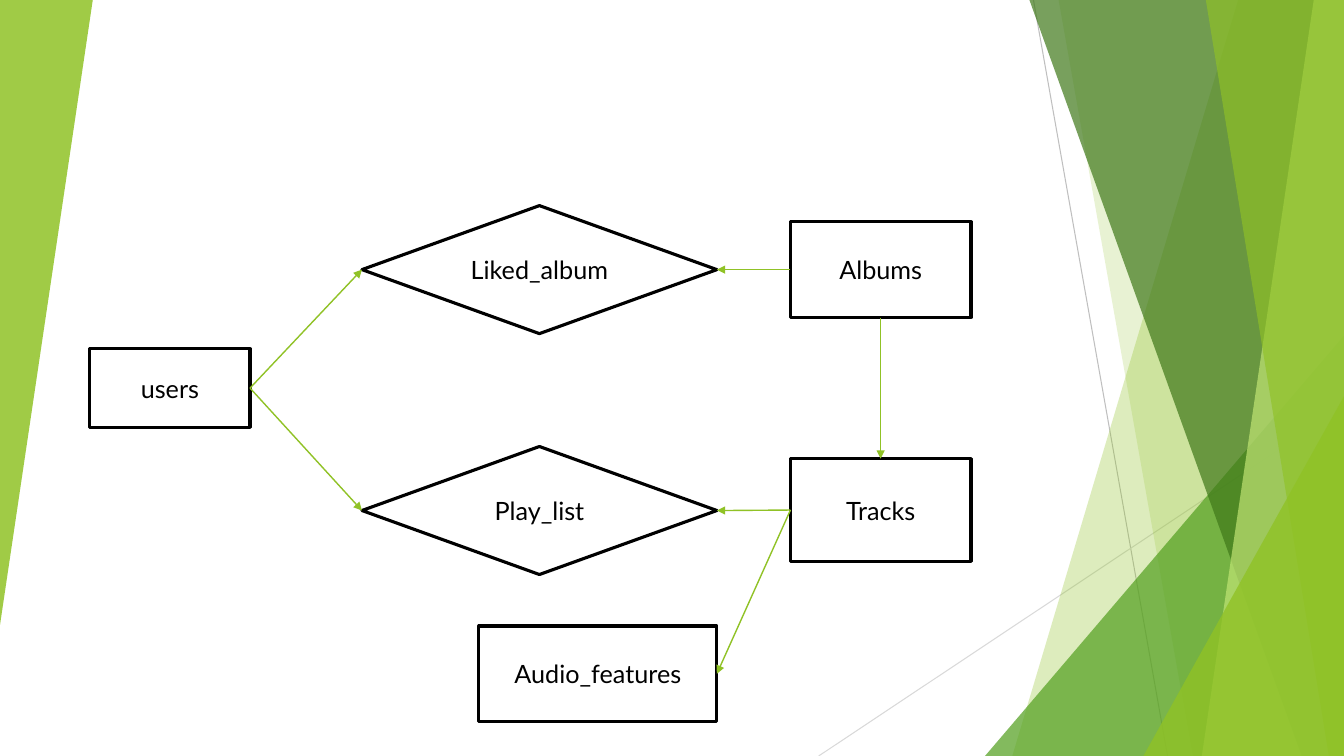
import pptx
import pptx.dml.color
import pptx.enum.shapes
import pptx.enum.text
import pptx.oxml
import pptx.oxml.ns
import pptx.util

# Content: lengths in px, 100 px to the inch
PX = 9144
WIDTH, HEIGHT = 1333, 750

THEME = {
    "font": "Lato", "text_size": 18, "ink": "000000", "paper": "FFFFFF",
    "box_line": 2.25, "arrow": "90C226", "arrow_line": 1, "hairline": 0.75,
    "lime": "90C226", "leaf": "54A021", "forest": "3F7819", "pale": "C0E474",
    "grey": "BFBFBF", "light_grey": "D9D9D9",
}

# start x, start y, end x, end y, colour
HAIRLINES = [
    (1025, 0, 1158, 750, "grey"),
    (1333, 403, 812, 750, "light_grey"),
]

# Bands reach the right edge: (x at top, x at bottom)
# Wedges are right triangles: (left, top, width, height, rotation)
FACETS = [
    ("band", (1228, 1004), "lime", 30),
    ("band", (1050, 1183), "lime", 20),
    ("wedge", (977, 333, 356, 417, 0), "leaf", 72),
    ("band", (1021, 1291), "forest", 70),
    ("band", (1303, 1192), "pale", 70),
    ("band", (1196, 1318), "lime", 65),
    ("wedge", (1134, 393, 199, 357, 0), "lime", 80),
    ("wedge", (0, 0, 92, 620, 180), "lime", 85),
]

# name: preset, left, top, width, height
NODES = {
    "users": ("RECTANGLE", 89, 346, 159, 78),
    "Albums": ("RECTANGLE", 784, 220, 179, 95),
    "Liked_album": ("DIAMOND", 359, 204, 352, 127),
    "Tracks": ("RECTANGLE", 784, 455, 179, 102),
    "Play_list": ("DIAMOND", 359, 443, 352, 127),
    "Audio_features": ("RECTANGLE", 475, 621, 236, 95),
}

TOP, LEFT, BOTTOM, RIGHT = range(4)
ARROWS = [
    ("users", RIGHT, "Liked_album", LEFT),
    ("Albums", LEFT, "Liked_album", RIGHT),
    ("users", RIGHT, "Play_list", LEFT),
    ("Albums", BOTTOM, "Tracks", TOP),
    ("Tracks", LEFT, "Play_list", RIGHT),
    ("Tracks", LEFT, "Audio_features", RIGHT),
]


def emu(*lengths):
    return [length * PX for length in lengths]


def colour(name):
    return pptx.dml.color.RGBColor.from_string(THEME[name])


def set_all(target, values):
    for name, value in values.items():
        setattr(target, name, value)


def add_child(parent, tag, **attributes):
    child = pptx.oxml.parse_xml(f"<a:{tag} {pptx.oxml.ns.nsdecls('a')}/>")
    for name, value in attributes.items():
        child.set(name, value)
    parent.append(child)


def fill_shape(shape, name):
    shape.shadow.inherit = False
    shape.fill.solid()
    shape.fill.fore_color.rgb = colour(name)


def add_line(shapes, points, name, width):
    line = shapes.add_connector(
        pptx.enum.shapes.MSO_CONNECTOR.STRAIGHT, *emu(*points))
    line.line.color.rgb = colour(name)
    line.line.width = pptx.util.Pt(width)
    add_child(line._element.spPr, "effectLst")
    return line


def add_facet(shapes, kind, geometry, name, opacity):
    if kind == "band":
        top_x, bottom_x = geometry
        builder = shapes.build_freeform(*emu(top_x, 0), scale=1.0)
        corners = [(WIDTH, 0), (WIDTH, HEIGHT), (bottom_x, HEIGHT)]
        builder.add_line_segments([emu(*corner) for corner in corners], close=True)
        shape = builder.convert_to_shape()
    else:
        *box, rotation = geometry
        shape = shapes.add_shape(
            pptx.enum.shapes.MSO_SHAPE.ISOSCELES_TRIANGLE, *emu(*box))
        shape.adjustments[0] = 1
        shape.rotation = rotation
    fill_shape(shape, name)
    shape.line.fill.background()
    swatch = shape._element.spPr.find(".//" + pptx.oxml.ns.qn("a:srgbClr"))
    add_child(swatch, "alpha", val=str(opacity * 1000))


def add_node(shapes, text, preset, *box):
    shape = shapes.add_shape(
        getattr(pptx.enum.shapes.MSO_SHAPE, preset), *emu(*box))
    fill_shape(shape, "paper")
    shape.line.color.rgb = colour("ink")
    shape.line.width = pptx.util.Pt(THEME["box_line"])
    shape.text_frame.vertical_anchor = pptx.enum.text.MSO_ANCHOR.MIDDLE
    paragraph = shape.text_frame.paragraphs[0]
    paragraph.alignment = pptx.enum.text.PP_ALIGN.CENTER
    run = paragraph.add_run()
    run.text = text
    set_all(run.font, {"name": THEME["font"],
                       "size": pptx.util.Pt(THEME["text_size"])})
    run.font.color.rgb = colour("ink")
    return shape


def main():
    presentation = pptx.Presentation()
    set_all(presentation, {"slide_width": WIDTH * PX, "slide_height": HEIGHT * PX})
    shapes = presentation.slides.add_slide(presentation.slide_layouts[6]).shapes

    # Decorative background
    for *points, name in HAIRLINES:
        add_line(shapes, points, name, THEME["hairline"])
    for facet in FACETS:
        add_facet(shapes, *facet)

    # Entities and relationships
    nodes = {text: add_node(shapes, text, *node) for text, node in NODES.items()}

    # Arrows joined to the middles of the sides
    for source, source_side, target, target_side in ARROWS:
        arrow = add_line(shapes, (0, 0, 0, 0), "arrow", THEME["arrow_line"])
        arrow.begin_connect(nodes[source], source_side)
        arrow.end_connect(nodes[target], target_side)
        add_child(arrow.line._get_or_add_ln(), "tailEnd", type="triangle")

    presentation.save("out.pptx")


if __name__ == "__main__":
    main()
